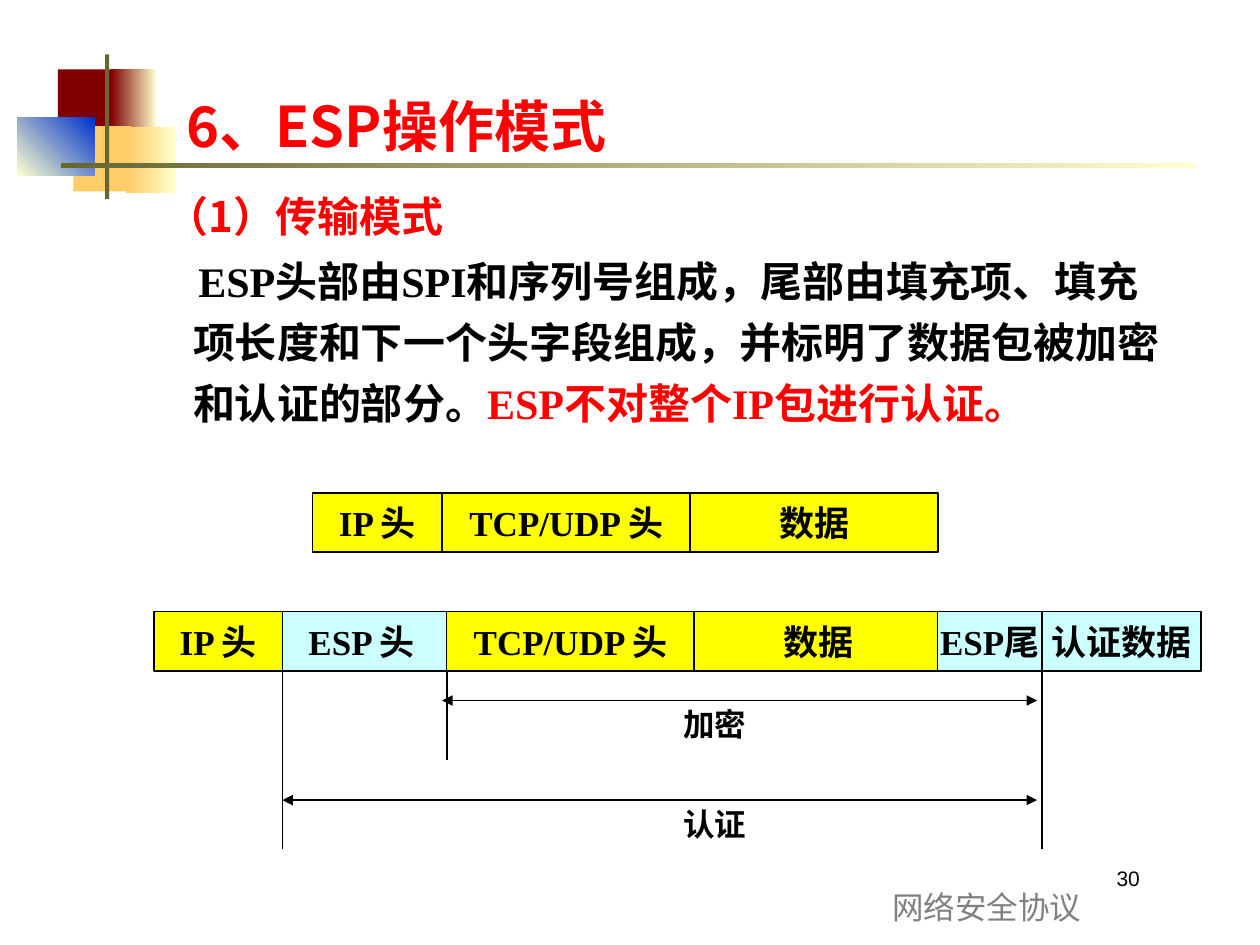
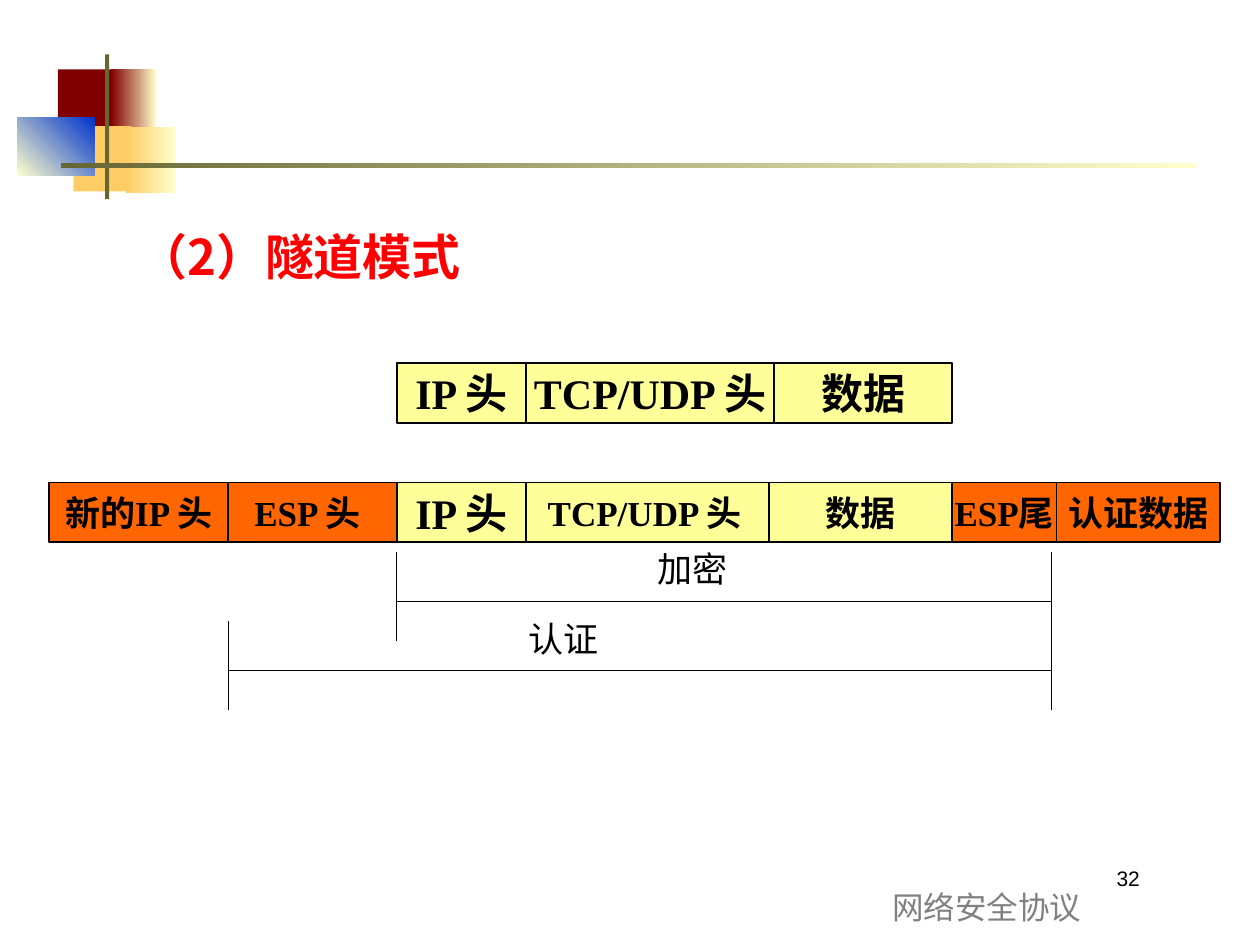
from lxml import etree
from pptx import Presentation
from pptx.dml.color import RGBColor
from pptx.enum.shapes import MSO_CONNECTOR, MSO_SHAPE
from pptx.enum.text import MSO_ANCHOR, PP_ALIGN
from pptx.oxml import parse_xml
from pptx.oxml.ns import nsdecls, qn
from pptx.util import Pt

BLACK = RGBColor(0x00, 0x00, 0x00)
RED = RGBColor(0xFF, 0x00, 0x00)
GREY = RGBColor(0x80, 0x80, 0x80)
MAROON = RGBColor(0x80, 0x00, 0x00)
CREAM = RGBColor(0xFF, 0xFF, 0xCC)
SAND = RGBColor(0xFF, 0xCC, 0x66)
BLUE = RGBColor(0x00, 0x33, 0xCC)
OLIVE = RGBColor(0x66, 0x66, 0x33)
YELLOW = RGBColor(0xFF, 0xFF, 0x00)
ICE = RGBColor(0xCC, 0xFF, 0xFF)
PALE = RGBColor(0xFF, 0xFF, 0x99)
ORANGE = RGBColor(0xFF, 0x66, 0x00)

SANS = "Noto Sans CJK SC"
SERIF = "Times New Roman"
FOOTER = "网络安全协议"
FIELD_HEIGHT = 34

# left, top, width, height, start colour, end colour, angle
ORNAMENTS = [
    (33.1, 39.6, 34.6, 37.4, MAROON, None, 0),
    (63.4, 39.6, 25.9, 37.4, MAROON, CREAM, 0),
    (42, 72, 33.1, 37.4, SAND, None, 0),
    (72, 72.7, 28.8, 37.4, SAND, CREAM, 0),
    (10, 67, 44, 33.1, CREAM, BLUE, 45),
    (60, 31, 2.4, 82.8, OLIVE, None, 0),
    (34.8, 93.4, 648, 2.4, OLIVE, CREAM, 0),
]

TRANSPORT = {
    "number": "30",
    "title": "6、ESP操作模式",
    "heading": ("（1）传输模式", 24, (88.2, 100, 581.8, 153.4), 34),
    "body": [
        ("ESP头部由SPI和序列号组成，尾部由填充项、填充项长度和下一个头字段组成，"
         "并标明了数据包被加密和认证的部分。", BLACK),
        ("ESP不对整个IP包进行认证。", RED),
    ],
    # top of each packet, then its fields: text, left, width, fill, size
    "packets": [
        (281.5, [
            ("IP 头", 178.6, 74.2, YELLOW, 20),
            ("TCP/UDP 头", 252.7, 141.8, YELLOW, 20),
            ("数据", 394.4, 141.8, YELLOW, 20),
        ]),
        (349.4, [
            ("ESP 头", 155.5, 102.2, ICE, 20),
            ("TCP/UDP 头", 255.2, 141.8, YELLOW, 20),
            ("数据", 396.7, 141.8, YELLOW, 20),
            ("ESP尾", 535.7, 59.8, ICE, 20),
            ("IP 头", 87.9, 73.6, YELLOW, 20),
            ("认证数据", 595.5, 90.7, ICE, 20),
        ]),
    ],
    "line_width": 0.75,
    "ticks": [(161.4, 383.2, 485.3), (595.5, 383.2, 485.3), (255.4, 383.2, 434.2)],
    "spans": [(252.7, 592.6, 400.3), (161.4, 592.6, 457.2)],
    "arrows": True,
    "labels": [("加密", 326.2, 399.6, 164.2), ("认证", 326.2, 456.5, 164.2)],
    "label_style": {"size": 18, "font": "DejaVu Sans", "bold": True,
                    "align": PP_ALIGN.CENTER},
}

TUNNEL = {
    "number": "32",
    "title": None,
    "heading": ("（2）隧道模式", 28, (72, 120.2, 299.5, 47.5), 39.5),
    "body": [],
    "packets": [
        (207.6, [
            ("IP 头", 226.7, 74, PALE, 24),
            ("TCP/UDP 头", 300.6, 141.8, PALE, 24),
            ("数据", 442.3, 101.8, PALE, 24),
        ]),
        (275.7, [
            ("ESP 头", 124.6, 102.2, ORANGE, 20),
            ("TCP/UDP 头", 297.5, 141.8, PALE, 20),
            ("数据", 439.4, 104.7, PALE, 20),
            ("ESP尾", 544, 59.8, ORANGE, 20),
            ("新的IP 头", 28.1, 102.2, ORANGE, 20),
            ("认证数据", 603.8, 93.6, ORANGE, 20),
            ("IP 头", 226.7, 74, PALE, 24),
        ]),
    ],
    "line_width": 0.5,
    "ticks": [(130.4, 355, 406), (601, 355, 406), (226.8, 315.4, 366.5), (601, 315.4, 366.5)],
    "spans": [(130.4, 601, 383.2), (226.8, 601, 343.6)],
    "arrows": False,
    "labels": [("认证", 295.2, 349.2, 90.7), ("加密", 368.6, 309.6, 96.5)],
    "label_style": {"size": 20, "font": "Arial"},
}


def style(para, size, font, color=None, bold=False, align=PP_ALIGN.LEFT):
    para.alignment = align
    para.font.size = Pt(size)
    para.font.name = font
    para.font.bold = bold
    if color is not None:
        para.font.color.rgb = color


def hang(para, left, first):
    """Indent a paragraph, with its own offset for the first line."""
    properties = para._p.get_or_add_pPr()
    properties.set("marL", str(Pt(left)))
    properties.set("indent", str(Pt(first)))


def add_text(page, text, at, size, font, color=BLACK, leading=1.2, **look):
    box = page.shapes.add_textbox(*map(Pt, at))
    box.text_frame.word_wrap = True
    para = box.text_frame.paragraphs[0]
    para.add_run().text = text
    para.line_spacing = Pt(round(size * leading, 1))
    style(para, size, font, color, **look)
    return box


def add_rect(page, at, start, end=None, angle=0):
    rect = page.shapes.add_shape(MSO_SHAPE.RECTANGLE, *map(Pt, at))
    rect.shadow.inherit = False
    rect.line.fill.background()
    if end is None:
        rect.fill.solid()
        rect.fill.fore_color.rgb = start
    else:
        rect.fill.gradient()
        rect.fill.gradient_angle = angle
        for stop, color in zip(rect.fill.gradient_stops, (start, end)):
            stop.color.rgb = color
    return rect


def add_field(page, top, text, left, width, fill, size):
    field = add_rect(page, (left, top, width, FIELD_HEIGHT), fill)
    field.line.color.rgb = BLACK
    field.line.width = Pt(1)
    frame = field.text_frame
    frame.word_wrap = False
    frame.vertical_anchor = MSO_ANCHOR.MIDDLE
    frame.text = text
    style(frame.paragraphs[0], size, SERIF, BLACK, True, PP_ALIGN.CENTER)


def add_line(page, start, end, width, arrows=False):
    line = page.shapes.add_connector(MSO_CONNECTOR.STRAIGHT, *map(Pt, start + end))
    line.line.color.rgb = BLACK
    line.line.width = Pt(width)
    if arrows:
        outline = line.line._get_or_add_ln()
        for tag in ("a:headEnd", "a:tailEnd"):
            etree.SubElement(outline, qn(tag), type="triangle")
    etree.SubElement(line._element.spPr, qn("a:effectLst"))


def add_footer(page, number):
    add_text(page, number, (631, 491, 69.1, 21.6), 12, "Arial")
    box = add_text(page, FOOTER, (493.8, 504, 140, 30), 18, SANS, None,
                   align=PP_ALIGN.CENTER)
    properties = box.text_frame.paragraphs[0].runs[0]._r.get_or_add_rPr()
    properties.append(parse_xml(
        f'<a:ln {nsdecls("a")} w="{Pt(0.5)}"><a:solidFill>'
        f'<a:srgbClr val="{GREY}"/></a:solidFill></a:ln>'))
    etree.SubElement(properties, qn("a:noFill"))


def add_body(page, heading, spans):
    text, size, at, leading = heading
    box = add_text(page, text, at, size, SANS, RED, leading / size, bold=True)
    hang(box.text_frame.paragraphs[0], 15, -15)
    if spans:
        para = box.text_frame.add_paragraph()
        hang(para, 15, 3)
        para.space_before = Pt(2.4)
        para.line_spacing = Pt(34.8)
        style(para, size, SERIF, bold=True)
        for words, color in spans:
            span = para.add_run()
            span.text = words
            span.font.color.rgb = color


def build_page(deck, content):
    page = deck.slides.add_slide(deck.slide_layouts[6])
    add_footer(page, content["number"])
    for *at, start, end, angle in ORNAMENTS:
        add_rect(page, at, start, end, angle)
    add_body(page, content["heading"], content["body"])
    for top, fields in content["packets"]:
        for field in fields:
            add_field(page, top, *field)
    width = content["line_width"]
    for x, top, bottom in content["ticks"]:
        add_line(page, (x, top), (x, bottom), width)
    for left, right, y in content["spans"]:
        add_line(page, (left, y), (right, y), width, content["arrows"])
    for text, left, top, box_width in content["labels"]:
        add_text(page, text, (left, top, box_width, 30), **content["label_style"])
    if content["title"]:
        add_text(page, content["title"], (99.4, 49, 301, 46), 32, SANS, RED, bold=True)


def main():
    deck = Presentation()
    deck.slide_width, deck.slide_height = Pt(720), Pt(540)
    for content in (TRANSPORT, TUNNEL):
        build_page(deck, content)
    deck.save("out.pptx")


if __name__ == "__main__":
    main()
